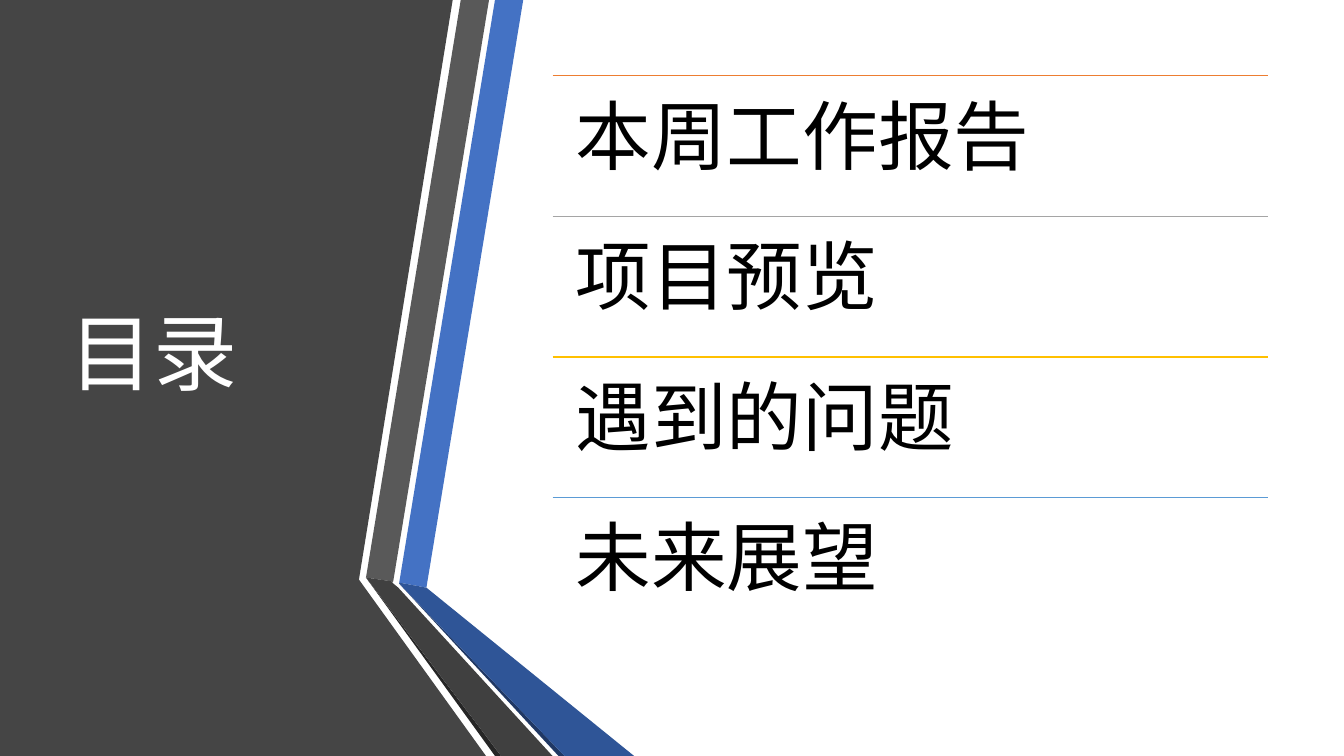
from lxml.etree import SubElement
from pptx import Presentation
from pptx.dml.color import RGBColor
from pptx.enum.shapes import MSO_CONNECTOR
from pptx.enum.text import MSO_ANCHOR, MSO_AUTO_SIZE, PP_ALIGN
from pptx.oxml.ns import qn
from pptx.util import Inches, Pt

FONT = "Noto Sans CJK SC"
PANEL = [(0, 0), (4.49, 0), (3.56, 5.75), (4.82, 7.5), (0, 7.5)]
BANDS = [
    ("4472C4", [(3.96, 5.78), (4.23, 5.83), (5.19, 0), (4.91, 0)]),
    ("595959", [(4.85, 0), (4.57, 0), (3.63, 5.73), (3.9, 5.77)]),
    ("262626", [(3.63, 5.73), (4.91, 7.5), (4.97, 7.5)]),
    ("203864", [(3.96, 5.79), (5.54, 7.5), (5.6, 7.5)]),
    ("2F5597", [(3.96, 5.79), (5.6, 7.5), (6.29, 7.5), (4.23, 5.83), (3.96, 5.78)]),
    ("404040", [(5.48, 7.5), (3.95, 5.83), (3.89, 5.78), (3.9, 5.77), (3.63, 5.73), (4.97, 7.5)]),
]
ITEMS = [
    ("本周工作报告", "ED7D31"),
    ("项目预览", "A5A5A5"),
    ("遇到的问题", "FFC000"),
    ("未来展望", "5B9BD5"),
]


def paint(color, code):
    """Set a colour format from a hex string."""
    color.rgb = RGBColor.from_string(code)


def write(frame, text, size, code, anchor):
    """Fill a text frame with one left-aligned line."""
    frame.text = text
    frame.word_wrap = True
    frame.auto_size = MSO_AUTO_SIZE.NONE
    frame.vertical_anchor = anchor
    line = frame.paragraphs[0]
    line.alignment = PP_ALIGN.LEFT
    line.line_spacing = 0.9
    run = line.runs[0]
    run.font.size = Pt(size)
    run.font.name = FONT
    paint(run.font.color, code)
    SubElement(run.font._element, qn("a:ea")).set("typeface", FONT)


def draw_shape(shapes, left, top, points, code):
    """Draw a filled outline with its points offset from left and top."""
    spots = [(Inches(left + x), Inches(top + y)) for x, y in points]
    pen = shapes.build_freeform(*spots[0], scale=1.0)
    pen.add_line_segments(spots[1:], close=True)
    shape = pen.convert_to_shape()
    shape.shadow.inherit = False
    shape.fill.solid()
    paint(shape.fill.fore_color, code)
    shape.line.fill.background()


def draw_side(slide, left, top):
    """Draw the dark panel, the folded bands and the title."""
    draw_shape(slide.shapes, left, top, PANEL, "454545")
    group = slide.shapes.add_group_shape()
    for code, points in BANDS:
        draw_shape(group.shapes, left, top, points, code)
    title = slide.shapes.title
    title.left, title.top = Inches(left + 0.59), Inches(top + 0.75)
    title.width, title.height = Inches(3.04), Inches(5.58)
    write(title.text_frame, "目录", 60, "FFFFFF", MSO_ANCHOR.MIDDLE)
    slide.shapes._spTree.append(title._element)


def draw_list(slide, left, top, width, height):
    """Stack the ruled items evenly in the box."""
    group = slide.shapes.add_group_shape()
    step = height / len(ITEMS)
    for i, (text, code) in enumerate(ITEMS):
        x, y = Inches(left), Inches(top + i * step)
        rule = group.shapes.add_connector(
            MSO_CONNECTOR.STRAIGHT, x, y, Inches(left + width), y)
        rule.line.width = Pt(1)
        paint(rule.line.color, code)
        SubElement(rule._element.spPr, qn("a:effectLst"))
        frame = group.shapes.add_textbox(x, y, Inches(width), Inches(step)).text_frame
        frame.margin_left = frame.margin_right = Inches(0.23)
        frame.margin_top = frame.margin_bottom = Inches(0.23)
        write(frame, text, 54, "000000", MSO_ANCHOR.TOP)


deck = Presentation()
deck.slide_width, deck.slide_height = Inches(13.33), Inches(7.5)
page = deck.slides.add_slide(deck.slide_layouts[5])
draw_side(page, 0, 0)
draw_list(page, 5.48, 0.75, 7.1, 5.58)
deck.save("out.pptx")
